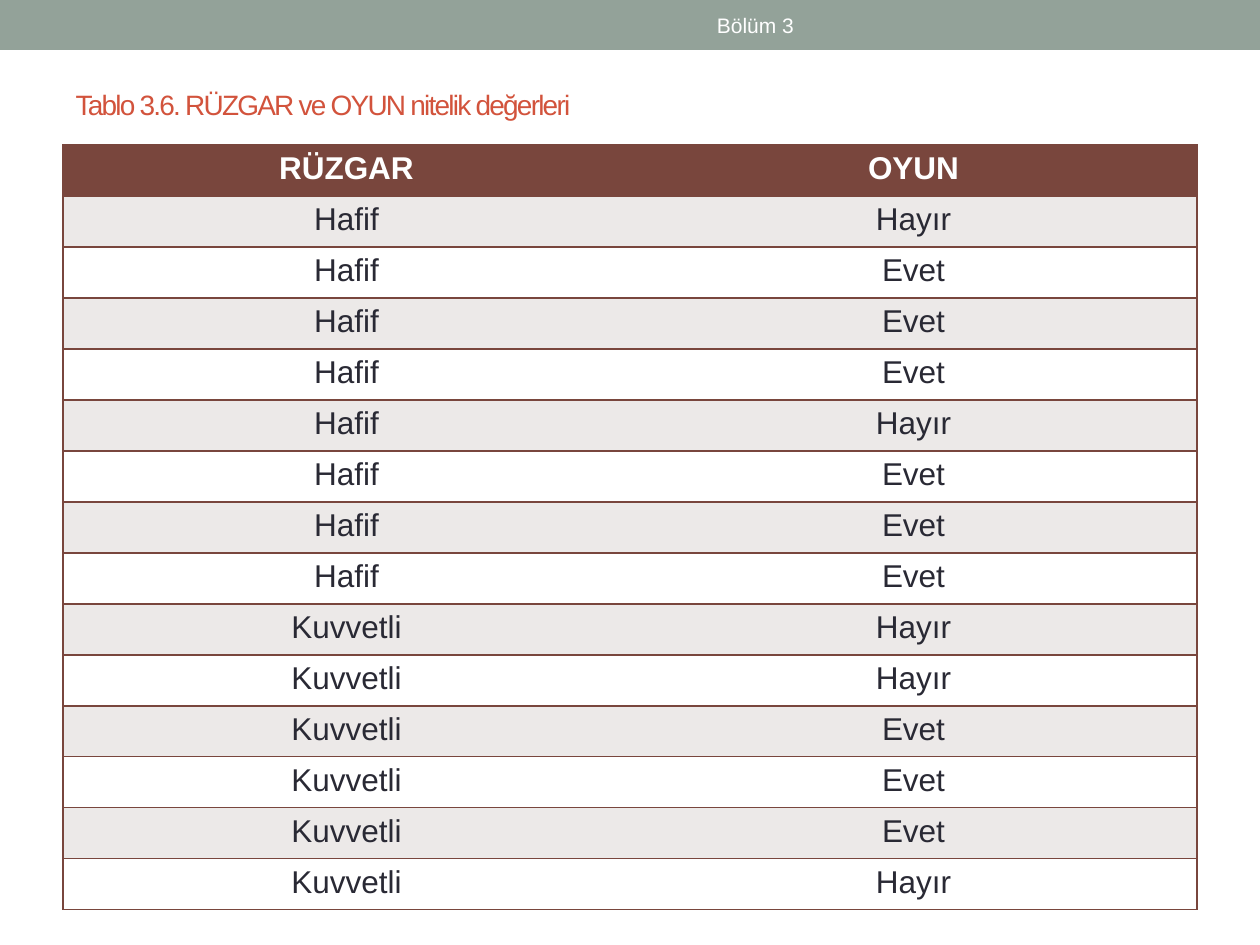
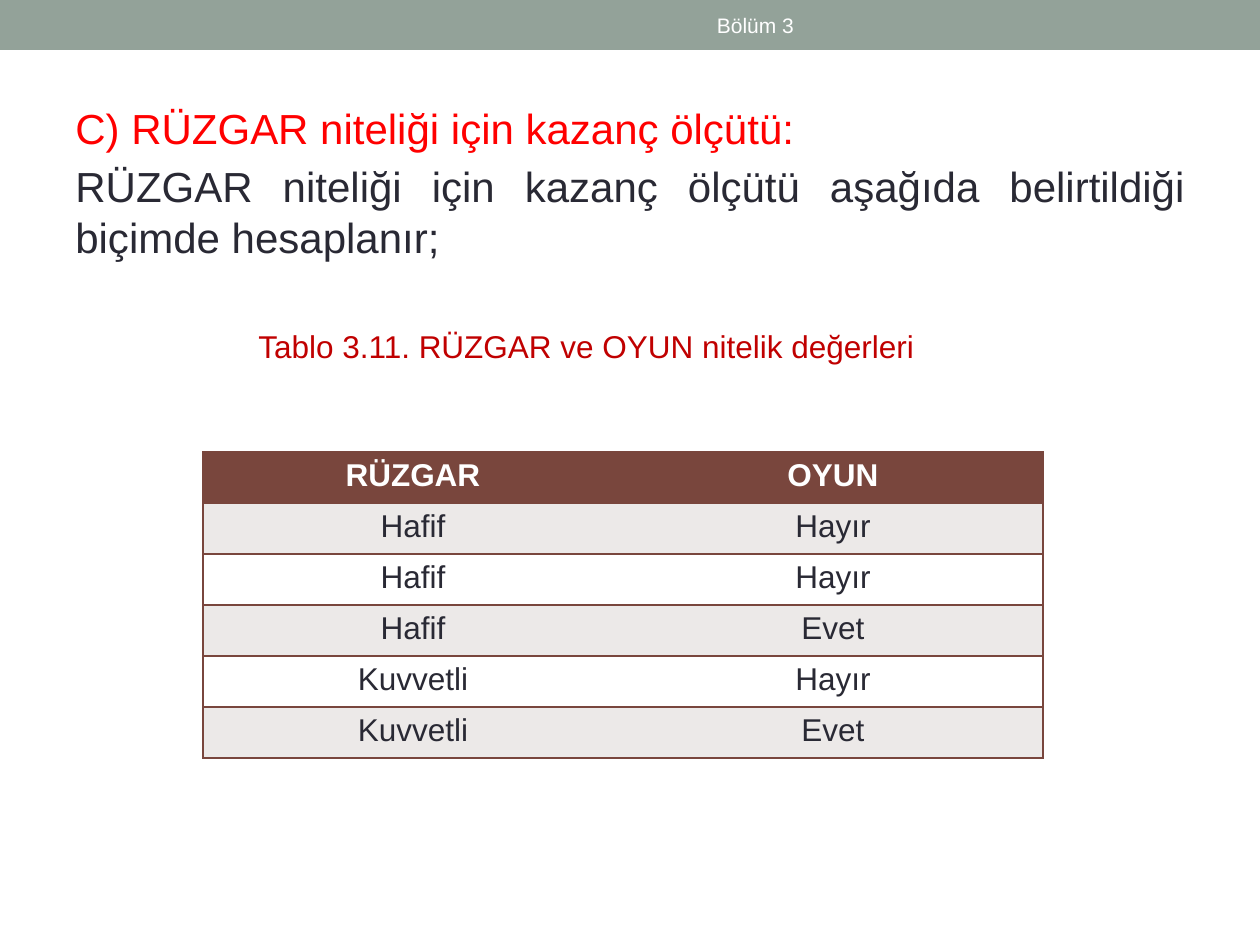
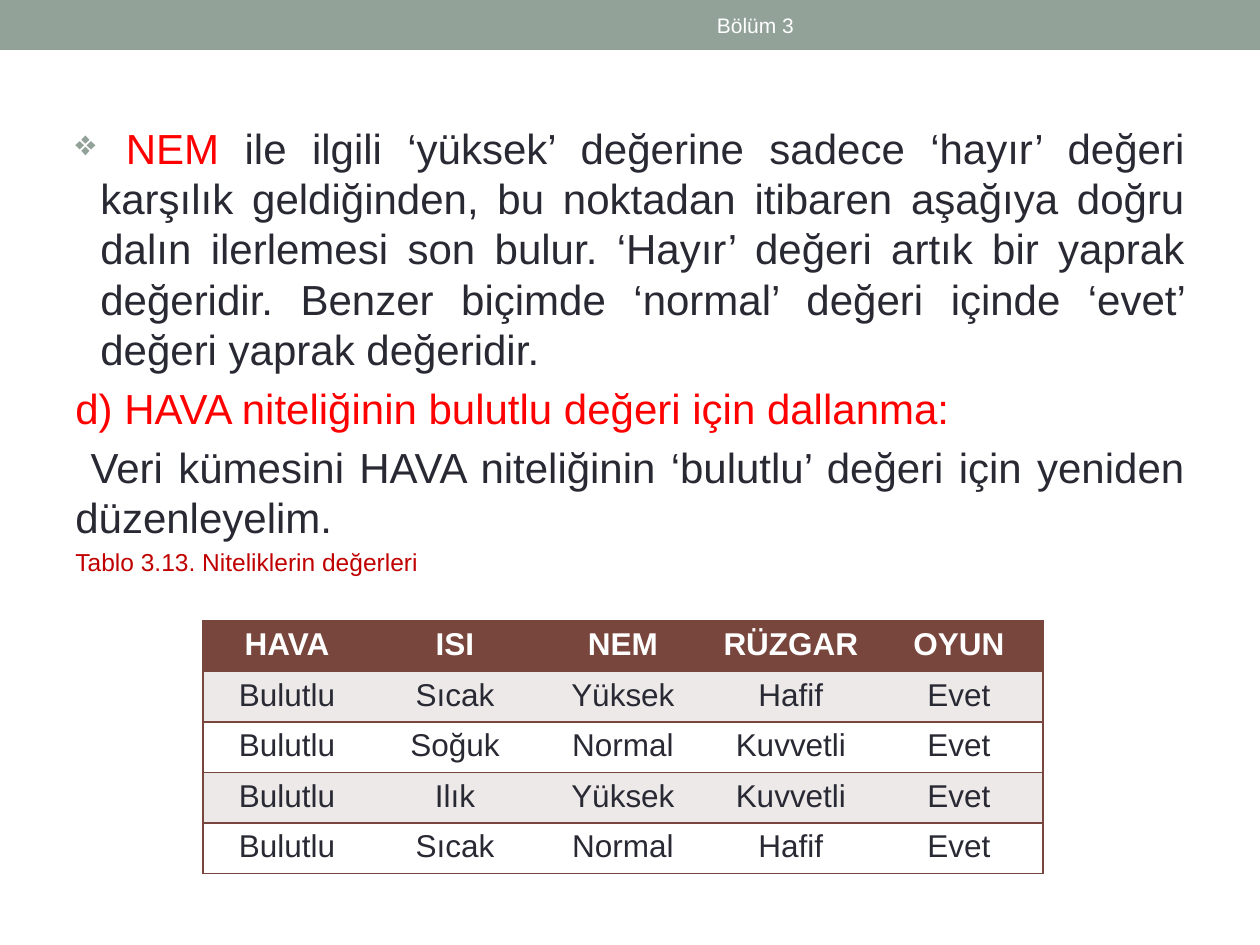
from lxml.etree import SubElement
from pptx import Presentation
from pptx.dml.color import RGBColor
from pptx.enum.shapes import MSO_SHAPE
from pptx.enum.text import MSO_ANCHOR, MSO_AUTO_SIZE, PP_ALIGN
from pptx.oxml import parse_xml
from pptx.oxml.ns import nsdecls, qn
from pptx.util import Emu, Pt

# Shared look
FONT = "Arial"
SAGE, BROWN, BAND, WHITE = "93A299", "79463D", "ECE9E8", "FFFFFF"
INK, RED, DARK_RED, RUST = "292934", "FF0000", "C00000", "D2533C"
LEFT, CENTER, JUSTIFY = PP_ALIGN.LEFT, PP_ALIGN.CENTER, PP_ALIGN.JUSTIFY
CHAPTER = "Bölüm 3"

# Content
WIND_TITLE = "Tablo 3.6. RÜZGAR ve OYUN nitelik değerleri"
WIND_HEAD = ("RÜZGAR", "OYUN")
WIND_PLAY = [
    ("Hafif", "Hayır"), ("Hafif", "Evet"), ("Hafif", "Evet"), ("Hafif", "Evet"),
    ("Hafif", "Hayır"), ("Hafif", "Evet"), ("Hafif", "Evet"), ("Hafif", "Evet"),
    ("Kuvvetli", "Hayır"), ("Kuvvetli", "Hayır"), ("Kuvvetli", "Evet"),
    ("Kuvvetli", "Evet"), ("Kuvvetli", "Evet"), ("Kuvvetli", "Hayır"),
]
GAIN_PLAY = [
    ("Hafif", "Hayır"), ("Hafif", "Hayır"), ("Hafif", "Evet"),
    ("Kuvvetli", "Hayır"), ("Kuvvetli", "Evet"),
]
CLOUDY_HEAD = ("HAVA", "ISI", "NEM", "RÜZGAR", "OYUN")
CLOUDY_PLAY = [
    ("Bulutlu", "Sıcak", "Yüksek", "Hafif", "Evet"),
    ("Bulutlu", "Soğuk", "Normal", "Kuvvetli", "Evet"),
    ("Bulutlu", "Ilık", "Yüksek", "Kuvvetli", "Evet"),
    ("Bulutlu", "Sıcak", "Normal", "Hafif", "Evet"),
]
# Each paragraph: its (text, colour) runs and its format
GAIN_TEXT = [
    ([("C) RÜZGAR niteliği için kazanç ölçütü:", RED)], dict(align=LEFT)),
    ([("RÜZGAR niteliği için kazanç ölçütü aşağıda belirtildiği biçimde "
       "hesaplanır;", INK)], {}),
    ([("Tablo 3.11. RÜZGAR ve OYUN nitelik değerleri", DARK_RED)],
     dict(size=18, align=LEFT, before=37.2, indent=183)),
]
CLOUDY_TEXT = [
    ([(" ", INK), ("NEM ", RED),
      ("ile ilgili ‘yüksek’ değerine sadece ‘hayır’ değeri karşılık "
       "geldiğinden, bu noktadan itibaren aşağıya doğru dalın ilerlemesi son "
       "bulur. ‘Hayır’ değeri artık bir yaprak değeridir. Benzer biçimde "
       "‘normal’ değeri içinde ‘evet’ değeri yaprak değeridir.", INK)],
     dict(indent=25, bullet="❖")),
    ([("d) HAVA niteliğinin bulutlu değeri için dallanma:", RED)], {}),
    ([(" Veri kümesini HAVA niteliğinin ‘bulutlu’ değeri için yeniden "
       "düzenleyelim.", INK)], {}),
    ([("Tablo 3.13. Niteliklerin değerleri", DARK_RED)], dict(size=14)),
]


def px(n):
    return Emu(round(n * 914400 / 126))


def rgb(value):
    return RGBColor.from_string(value)


def write(p, text, size=18, color=INK, bold=False, align=None, spacing=None):
    """Add one formatted run to a paragraph."""
    if align is not None:
        p.alignment = align
    r = p.add_run()
    r.text = text
    f = r.font
    f.name, f.size, f.bold, f.color.rgb = FONT, Pt(size), bold, rgb(color)
    if spacing is not None:
        r.font._element.set("spc", str(spacing))


def add_box(s, x, y, w, h, anchor=MSO_ANCHOR.TOP):
    tf = s.shapes.add_textbox(px(x), px(y), px(w), px(h)).text_frame
    tf.word_wrap, tf.vertical_anchor = True, anchor
    return tf


def add_slide(prs, layout):
    """Start a slide with the band and the chapter name."""
    s = prs.slides.add_slide(prs.slide_layouts[layout])
    band = s.shapes.add_shape(MSO_SHAPE.RECTANGLE, 0, 0, prs.slide_width, px(50))
    band.shadow.inherit = False
    band.fill.solid()
    band.fill.fore_color.rgb = rgb(SAGE)
    band.line.fill.background()
    tf = add_box(s, 472, 3, 567, 45, MSO_ANCHOR.MIDDLE)
    write(tf.paragraphs[0], CHAPTER, size=12, color=WHITE, align=CENTER)
    return s


def add_bullet(p, char):
    pPr = p._p.get_or_add_pPr()
    pPr.set("indent", str(-int(pPr.get("marL"))))
    color = SubElement(pPr, qn("a:buClr"))
    SubElement(color, qn("a:srgbClr"), val=SAGE)
    SubElement(pPr, qn("a:buSzPct"), val="85000")
    SubElement(pPr, qn("a:buChar"), char=char)


def add_body(s, y, h, paragraphs):
    tf = add_box(s, 63, y, 1134, h)
    for i, (runs, fmt) in enumerate(paragraphs):
        p = tf.add_paragraph() if i else tf.paragraphs[0]
        size = fmt.get("size", 24)
        if "indent" in fmt:
            p._p.get_or_add_pPr().set("marL", str(px(fmt["indent"])))
        if "bullet" in fmt:
            add_bullet(p, fmt["bullet"])
        p.line_spacing = Pt(size * 1.2)
        p.space_before = Pt(fmt.get("before", size * 0.2) if i else 0)
        for text, color in runs:
            write(p, text, size=size, color=color, align=fmt.get("align", JUSTIFY))


def set_borders(cell, first, last):
    """Rule above and below; at the sides only on the table's edge."""
    tcPr = cell._tc.get_or_add_tcPr()
    for i, (side, shown) in enumerate(zip("LRTB", (first, last, True, True))):
        fill = (f'<a:solidFill><a:srgbClr val="{BROWN}"/></a:solidFill>'
                if shown else "<a:noFill/>")
        tcPr.insert(i, parse_xml(
            f'<a:ln{side} {nsdecls("a")} w="{Pt(1)}">{fill}</a:ln{side}>'))


def add_grid(s, x, y, w, row_heights, head, body):
    rows, n = [head, *body], len(head)
    table = s.shapes.add_table(len(rows), n, px(x), px(y), px(w),
                               px(sum(row_heights))).table
    for col in table.columns:
        col.width = px(w / n)
    for i, (values, height) in enumerate(zip(rows, row_heights)):
        table.rows[i].height = px(height)
        for j, value in enumerate(values):
            cell = table.cell(i, j)
            cell.fill.solid()
            cell.fill.fore_color.rgb = rgb(
                BROWN if i == 0 else BAND if i % 2 else WHITE)
            set_borders(cell, j == 0, j == n - 1)
            write(cell.text_frame.paragraphs[0], value, bold=i == 0,
                  color=INK if i else WHITE, align=CENTER)


def main():
    prs = Presentation()
    prs.slide_width, prs.slide_height = px(1260), px(945)

    # Wind and play values
    s = add_slide(prs, 5)
    title = s.shapes.title
    title.left, title.top, title.width, title.height = map(px, (63, 73, 1134, 62))
    tf = title.text_frame
    tf.auto_size, tf.vertical_anchor = MSO_AUTO_SIZE.NONE, MSO_ANCHOR.MIDDLE
    write(tf.paragraphs[0], WIND_TITLE, size=16, color=RUST, align=LEFT, spacing=-100)
    heights = [51] * 11 + [48] + [51] * 3
    add_grid(s, 63, 145, 1134, heights, WIND_HEAD, WIND_PLAY)

    # Gain of the wind attribute
    s = add_slide(prs, 6)
    add_body(s, 96, 798, GAIN_TEXT)
    add_grid(s, 203, 452, 840, [51] * 6, WIND_HEAD, GAIN_PLAY)

    # Branching on cloudy weather
    s = add_slide(prs, 6)
    add_body(s, 116, 814, CLOUDY_TEXT)
    add_grid(s, 203, 621, 840, [48] * 5, CLOUDY_HEAD, CLOUDY_PLAY)

    prs.save("out.pptx")


if __name__ == "__main__":
    main()
